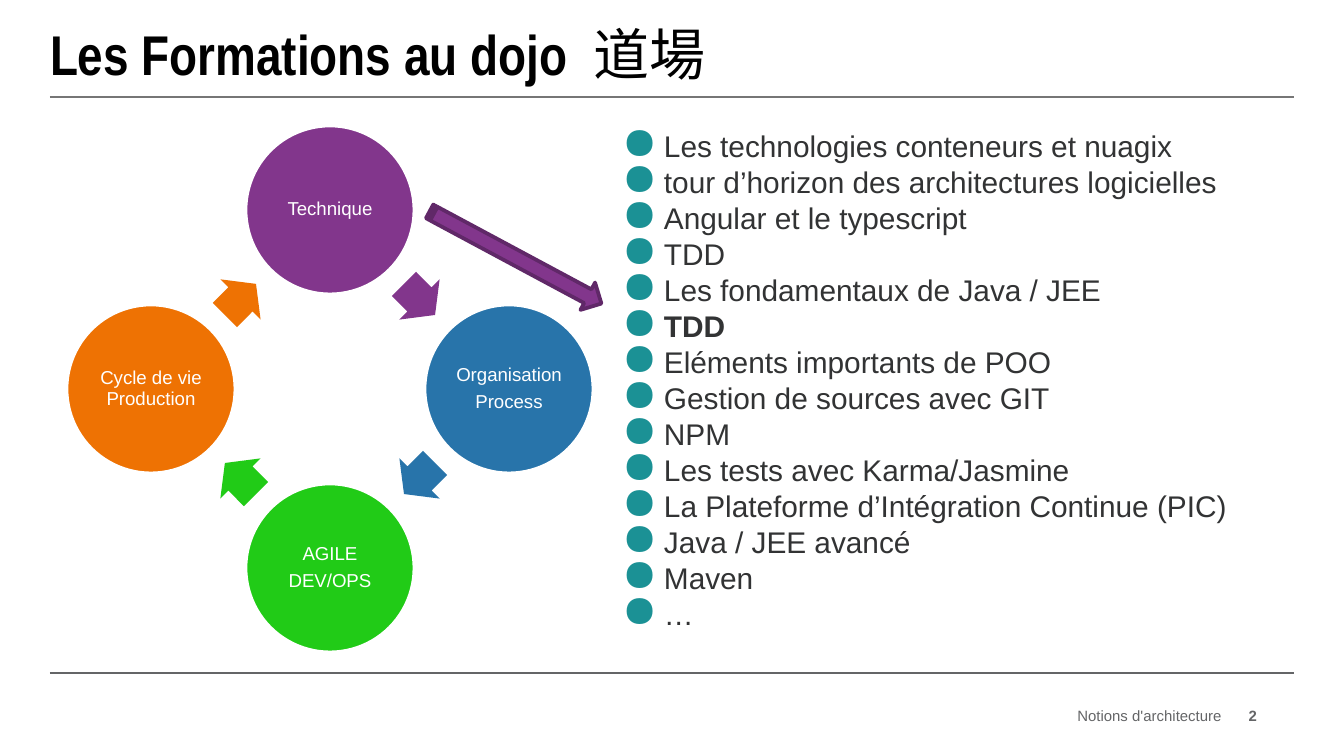
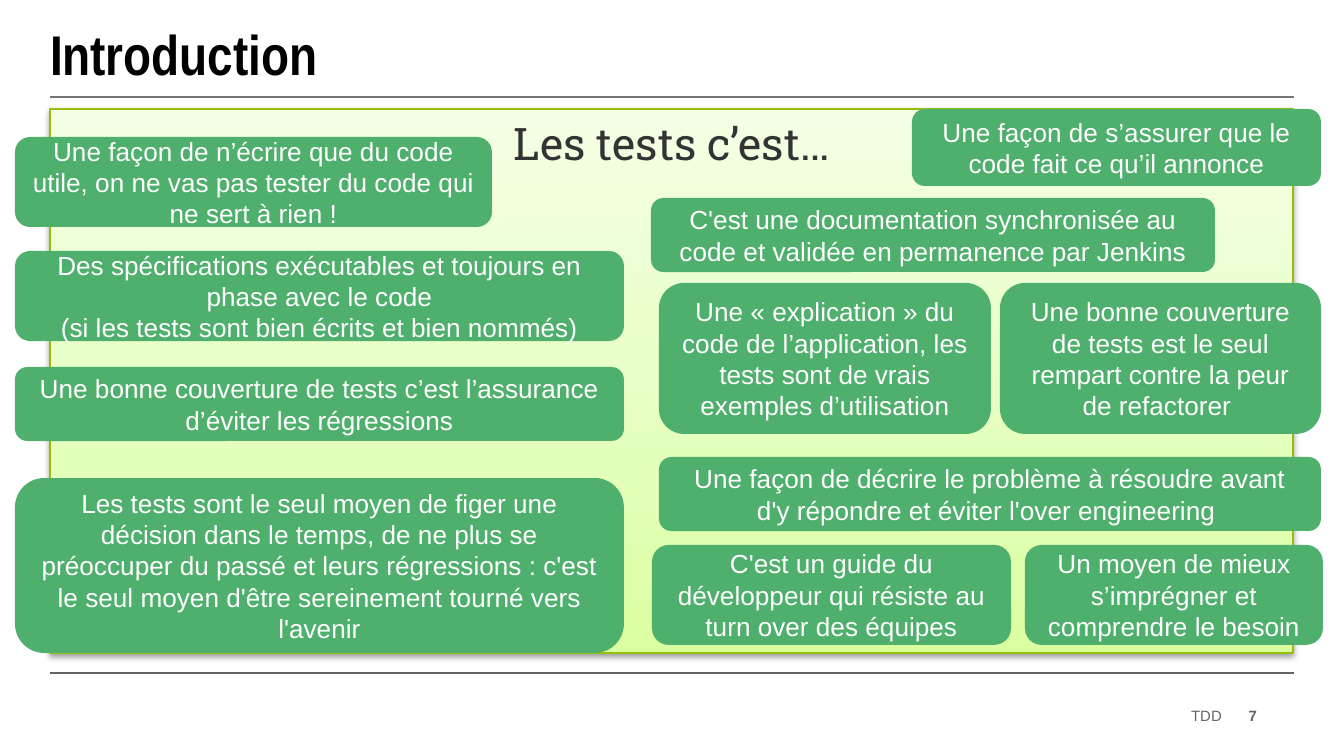
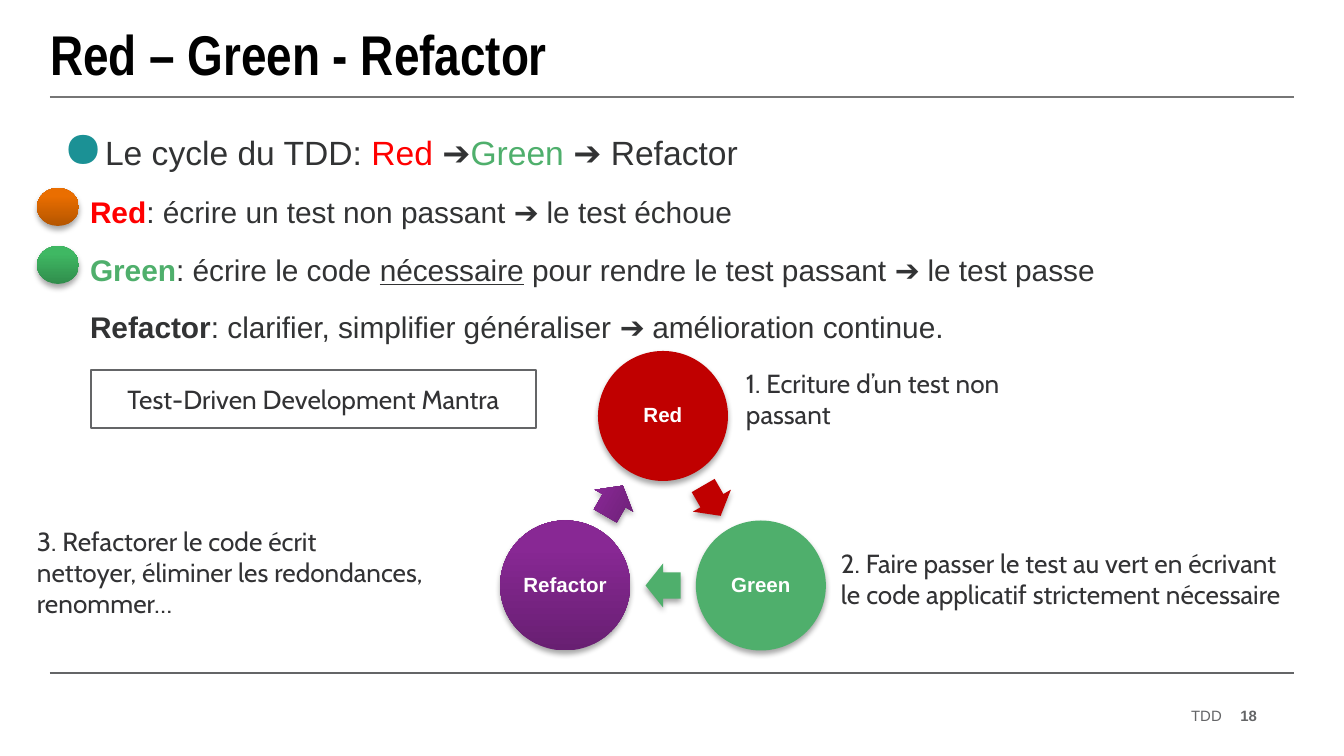
import math

import pptx
import pptx.dml.color
import pptx.enum.shapes
import pptx.enum.text
import pptx.oxml.ns
import pptx.util
from lxml import etree

PX = 914400 / 134.4
SHAPE = pptx.enum.shapes.MSO_SHAPE
ALIGN = pptx.enum.text.PP_ALIGN
ANCHOR = pptx.enum.text.MSO_ANCHOR
qn = pptx.oxml.ns.qn

COLORS = {
    "black": "000000", "white": "FFFFFF", "text": "323334", "note": "323234",
    "footer": "646567", "title rule": "767676", "bullet": "1B9195",
    "purple": "82368C", "dark purple": "602868", "blue": "2874AA",
    "lime": "21CB17", "orange": "EE7203", "green": "4FAF6C",
    "pure red": "FF0000", "dark red": "C00000", "olive": "96BF08",
}
# Stops run from bottom to top: position in percent, colour.
GRADIENTS = {
    "pale lime": [(0, "DAFFA0"), (35, "E4FFBC"), (100, "F4FFE5")],
    "green ball": [(0, "308D4C"), (80, "3FB863"), (100, "3DBB63")],
    "orange ball": [(0, "B45500"), (80, "EA6E00"), (100, "EB6F00")],
    "purple ball": [(0, "681F72"), (80, "882894"), (100, "8A2697")],
}
# Opacity in percent, then blur and distance in points.
PANEL_SHADOW = (38, 3.1, 1.6)
BALL_SHADOW = (35, 3.1, 1.8)
DEFAULT_INSETS = (13, 7, 13, 7)

TRAININGS = [
    "Les technologies conteneurs et nuagix",
    "tour d’horizon des architectures logicielles",
    "Angular et le typescript",
    "TDD",
    "Les fondamentaux de Java / JEE",
    [("TDD", {"bold": True})],
    "Eléments importants de POO",
    "Gestion de sources avec GIT",
    "NPM",
    "Les tests avec Karma/Jasmine",
    "La Plateforme d’Intégration Continue (PIC)",
    "Java / JEE avancé",
    "Maven",
    "…",
]

TEST_BENEFITS = [
    ((15, 251, 609, 90), "Des spécifications exécutables et toujours en phase avec le code"
                         "\v(si les tests sont bien écrits et bien nommés)"),
    ((912, 109, 409, 77), "Une façon de s’assurer que le code fait ce qu’il annonce"),
    ((15, 367, 609, 74), "Une bonne couverture de tests c’est l’assurance d’éviter les régressions"),
    ((659, 283, 332, 151), "Une « explication » du code de l’application, les tests sont "
                           "de vrais exemples d’utilisation"),
    ((15, 137, 477, 90), "Une façon de n’écrire que du code utile, on ne vas pas tester "
                         "du code qui ne sert à rien !"),
    ((651, 198, 564, 74), "C'est une documentation synchronisée au code et validée "
                          "en permanence par Jenkins"),
    ((652, 545, 359, 100), "C'est un guide du développeur qui résiste au turn over des équipes"),
    ((1000, 283, 321, 151), "Une bonne couverture de tests est le seul rempart contre "
                            "la peur de refactorer "),
    ((659, 457, 662, 74), "Une façon de décrire le problème à résoudre avant d'y répondre "
                          "et éviter l'over engineering "),
    ((1025, 545, 298, 100), "Un moyen de mieux s’imprégner et comprendre le besoin"),
    ((15, 478, 609, 175), "Les tests sont le seul moyen de figer une décision dans le temps, "
                          "de ne plus se préoccuper du passé et leurs régressions : c'est le "
                          "seul moyen d'être sereinement tourné vers l'avenir"),
]

TDD_STEPS = [
    [("Red", {"bold": True, "color": "pure red"}),
     (": écrire un test non passant ➔ le test échoue", {})],
    [("Green", {"bold": True, "color": "green"}), (": écrire le code ", {}),
     ("nécessaire", {"underline": True}),
     (" pour rendre le test passant ➔ le test passe", {})],
    [("Refactor", {"bold": True}),
     (": clarifier, simplifier généraliser ➔ amélioration continue.", {})],
]


def px(value):
    return pptx.util.Emu(round(value * PX))


def rgb(name):
    return pptx.dml.color.RGBColor.from_string(COLORS[name])


def set_fill(shape, name):
    """Fill with a colour, a vertical gradient, or nothing when name is None."""
    if name is None:
        shape.fill.background()
    elif name in GRADIENTS:
        shape.fill.gradient()
        shape.fill.gradient_angle = 90
        stops = shape._element.spPr.find(".//" + qn("a:gsLst"))
        for stop in list(stops):
            stops.remove(stop)
        for position, color in GRADIENTS[name]:
            stop = etree.SubElement(stops, qn("a:gs"), pos=str(position * 1000))
            etree.SubElement(stop, qn("a:srgbClr"), val=color)
    else:
        shape.fill.solid()
        shape.fill.fore_color.rgb = rgb(name)


def set_shadow(shape, shadow):
    shape.shadow.inherit = False
    if shadow:
        opacity, blur, distance = shadow
        effects = shape._element.spPr.find(qn("a:effectLst"))
        outer = etree.SubElement(
            effects, qn("a:outerShdw"), blurRad=str(round(blur * 12700)),
            dist=str(round(distance * 12700)), dir="5400000", rotWithShape="0")
        color = etree.SubElement(outer, qn("a:srgbClr"), val=COLORS["black"])
        etree.SubElement(color, qn("a:alpha"), val=str(opacity * 1000))


def add_shape(slide, kind, box, fill, line=None, shadow=None, rotation=0):
    """Add a preset shape; line is a colour name and a width in points."""
    shape = slide.shapes.add_shape(kind, *map(px, box))
    shape.rotation = rotation
    set_fill(shape, fill)
    if line:
        shape.line.color.rgb = rgb(line[0])
        shape.line.width = pptx.util.Pt(line[1])
    else:
        shape.line.fill.background()
    set_shadow(shape, shadow)
    return shape


def set_frame(shape, anchor, insets):
    frame = shape.text_frame
    frame.word_wrap = True
    frame.auto_size = pptx.enum.text.MSO_AUTO_SIZE.NONE
    frame.vertical_anchor = anchor
    (frame.margin_left, frame.margin_top,
     frame.margin_right, frame.margin_bottom) = map(px, insets)
    return frame


def add_bullet(paragraph):
    properties = paragraph._p.get_or_add_pPr()
    properties.set("marL", str(px(42)))
    properties.set("indent", str(px(-42)))
    color = etree.SubElement(properties, qn("a:buClr"))
    etree.SubElement(color, qn("a:srgbClr"), val=COLORS["bullet"])
    etree.SubElement(properties, qn("a:buSzPct"), val="150000")
    etree.SubElement(properties, qn("a:buChar"), char="●")


def fill_paragraph(paragraph, content, size, color="text", font="Arial", bold=None,
                   align=ALIGN.LEFT, spacing=None, before=0, after=0, bullet=False):
    """Write a string, or a list of (text, style) runs, as one paragraph."""
    if bullet:
        add_bullet(paragraph)
    paragraph.alignment = align
    paragraph.line_spacing = spacing
    paragraph.space_before = pptx.util.Pt(before)
    paragraph.space_after = pptx.util.Pt(after)
    paragraph.font.name = font
    paragraph.font.size = pptx.util.Pt(size)
    paragraph.font.bold = bold
    if isinstance(content, str):
        paragraph.text = content
        paragraph.font.color.rgb = rgb(color)
        return
    mixed_colors = any("color" in style for _, style in content)
    if not mixed_colors:
        paragraph.font.color.rgb = rgb(color)
    for text, style in content:
        run = paragraph.add_run()
        run.text = text
        run.font.bold = style.get("bold", bold)
        run.font.underline = style.get("underline")
        if mixed_colors:
            run.font.color.rgb = rgb(style.get("color", color))


def write(shape, contents, size, anchor=ANCHOR.TOP, insets=DEFAULT_INSETS, before=0, **style):
    """Write equally styled paragraphs into a shape."""
    frame = set_frame(shape, anchor, insets)
    for index, content in enumerate(contents):
        paragraph = frame.add_paragraph() if index else frame.paragraphs[0]
        fill_paragraph(paragraph, content, size, before=before if index else 0, **style)


def add_text(slide, box, contents, size, **style):
    shape = slide.shapes.add_textbox(*map(px, box))
    write(shape, contents, size, **style)
    return shape


def add_rule(slide, y, color):
    rule = slide.shapes.add_connector(
        pptx.enum.shapes.MSO_CONNECTOR.STRAIGHT, px(50), px(y), px(1294), px(y))
    rule.line.color.rgb = rgb(color)
    rule.line.width = pptx.util.Pt(1)
    etree.SubElement(rule._element.spPr, qn("a:effectLst"))


def add_slide(presentation, title, footer, number):
    """Add a slide with its title, two rules, footer and page number."""
    slide = presentation.slides.add_slide(presentation.slide_layouts[5])
    add_rule(slide, 673, "footer")
    add_rule(slide, 97, "title rule")
    heading = slide.shapes.title
    heading.left, heading.top, heading.width, heading.height = map(px, (50, 12, 1243, 82))
    bold = True if isinstance(title, str) else None
    write(heading, [title], 30, color="black", font="Arial Narrow", bold=bold,
          anchor=ANCHOR.MIDDLE, insets=(0, 0, 0, 0))
    for box, text, bold in (((926, 706, 296, 20), footer, False),
                            ((1230, 706, 27, 20), str(number), True)):
        add_text(slide, box, [text], 8, color="footer", bold=bold, align=ALIGN.RIGHT,
                 anchor=ANCHOR.MIDDLE, insets=(0, 0, 0, 0))
    return slide


def add_cycle(slide, stages, center, radius, diameter, arrow_size, label_size,
              bold=False, line=None, shadow=None):
    """Place circles clockwise from the top, with an arrow after each one."""
    step = 360 / len(stages)

    def box_at(angle, distance, width, height):
        x = center[0] + distance * math.sin(math.radians(angle))
        y = center[1] - distance * math.cos(math.radians(angle))
        return x - width / 2, y - height / 2, width, height

    arrow_distance = radius * math.cos(math.radians(step / 2))
    for index, (labels, fill) in enumerate(stages):
        angle = index * step
        circle = add_shape(slide, SHAPE.OVAL, box_at(angle, radius, diameter, diameter),
                           fill, line, shadow)
        write(circle, labels, label_size, color="white", bold=bold, align=ALIGN.CENTER,
              spacing=0.9, after=label_size * 0.35, anchor=ANCHOR.MIDDLE, insets=(2, 2, 2, 2))
        middle = angle + step / 2
        arrow = add_shape(slide, SHAPE.RIGHT_ARROW, box_at(middle, arrow_distance, *arrow_size),
                          fill, shadow=shadow, rotation=middle)
        arrow.adjustments[0] = 0.6
        arrow.adjustments[1] = 0.5


def build_trainings(presentation):
    title = [("Les Formations au dojo ", {"bold": True}), (" 道場", {"bold": False})]
    slide = add_slide(presentation, title, "Notions d'architecture", 2)
    stages = [(["Technique"], "purple"), (["Organisation", "Process"], "blue"),
              (["AGILE", "DEV/OPS"], "lime"), (["Cycle de vie\vProduction"], "orange")]
    add_cycle(slide, stages, center=(330, 389), radius=179, diameter=169,
              arrow_size=(44, 57), label_size=10, line=("white", 2))
    add_text(slide, (609, 125, 685, 527), TRAININGS, 16, spacing=0.9, before=2, bullet=True)
    add_shape(slide, SHAPE.STRIPED_RIGHT_ARROW, (418, 242, 195, 31), "purple",
              ("dark purple", 2), rotation=28.2)


def build_introduction(presentation):
    slide = add_slide(presentation, "Introduction", "TDD", 7)
    panel = add_shape(slide, SHAPE.RECTANGLE, (50, 109, 1243, 544), "pale lime",
                      ("olive", 0.75), PANEL_SHADOW)
    write(panel, ["Les tests c’est…"], 24, font="Roboto Slab", align=ALIGN.CENTER)
    for box, text in TEST_BENEFITS:
        benefit = add_shape(slide, SHAPE.ROUNDED_RECTANGLE, box, "green")
        write(benefit, [text], 14, color="white", align=ALIGN.CENTER,
              anchor=ANCHOR.MIDDLE, insets=(13, 13, 13, 13))


def build_tdd_cycle(presentation):
    slide = add_slide(presentation, "Red – Green - Refactor", "TDD", 18)
    summary = [("Le cycle du TDD: ", {}), ("Red ", {"color": "pure red"}), ("➔", {}),
               ("Green", {"color": "green"}), (" ➔ Refactor", {})]
    body = add_text(slide, (50, 125, 1243, 527), [summary], 18, bullet=True)
    for step in TDD_STEPS:
        paragraph = body.text_frame.add_paragraph()
        paragraph._p.get_or_add_pPr().set("marL", str(px(27)))
        fill_paragraph(paragraph, step, 16, spacing=1.5, before=2)

    for y, fill in ((246, "green ball"), (188, "orange ball")):
        add_shape(slide, SHAPE.OVAL, (37, y, 42, 38), fill, shadow=BALL_SHADOW)

    stages = [(["Red"], "dark red"), (["Green"], "green"), (["Refactor"], "purple ball")]
    add_cycle(slide, stages, center=(663, 529), radius=113, diameter=130,
              arrow_size=(35, 44), label_size=11, bold=True, shadow=BALL_SHADOW)

    note_style = {"color": "note", "font": "Cabin", "insets": (0, 0, 0, 0)}
    notes = [
        ((746, 367, 296, 63), "1. Ecriture d’un test non passant"),
        ((841, 547, 445, 117), "2. Faire passer le test au vert en écrivant le code "
                               "applicatif strictement nécessaire"),
        ((37, 525, 445, 117), "3. Refactorer le code écrit\vnettoyer, éliminer les "
                              "redondances, renommer…"),
    ]
    for box, text in notes:
        add_text(slide, box, [text], 14, **note_style)
    mantra = add_shape(slide, SHAPE.RECTANGLE, (91, 370, 445, 58), None, ("footer", 0.75))
    write(mantra, ["Test-Driven Development Mantra"], 14, align=ALIGN.CENTER,
          anchor=ANCHOR.MIDDLE, **note_style)


def main():
    presentation = pptx.Presentation()
    presentation.slide_width = px(1344)
    presentation.slide_height = px(756)
    build_trainings(presentation)
    build_introduction(presentation)
    build_tdd_cycle(presentation)
    presentation.save("out.pptx")


if __name__ == "__main__":
    main()
